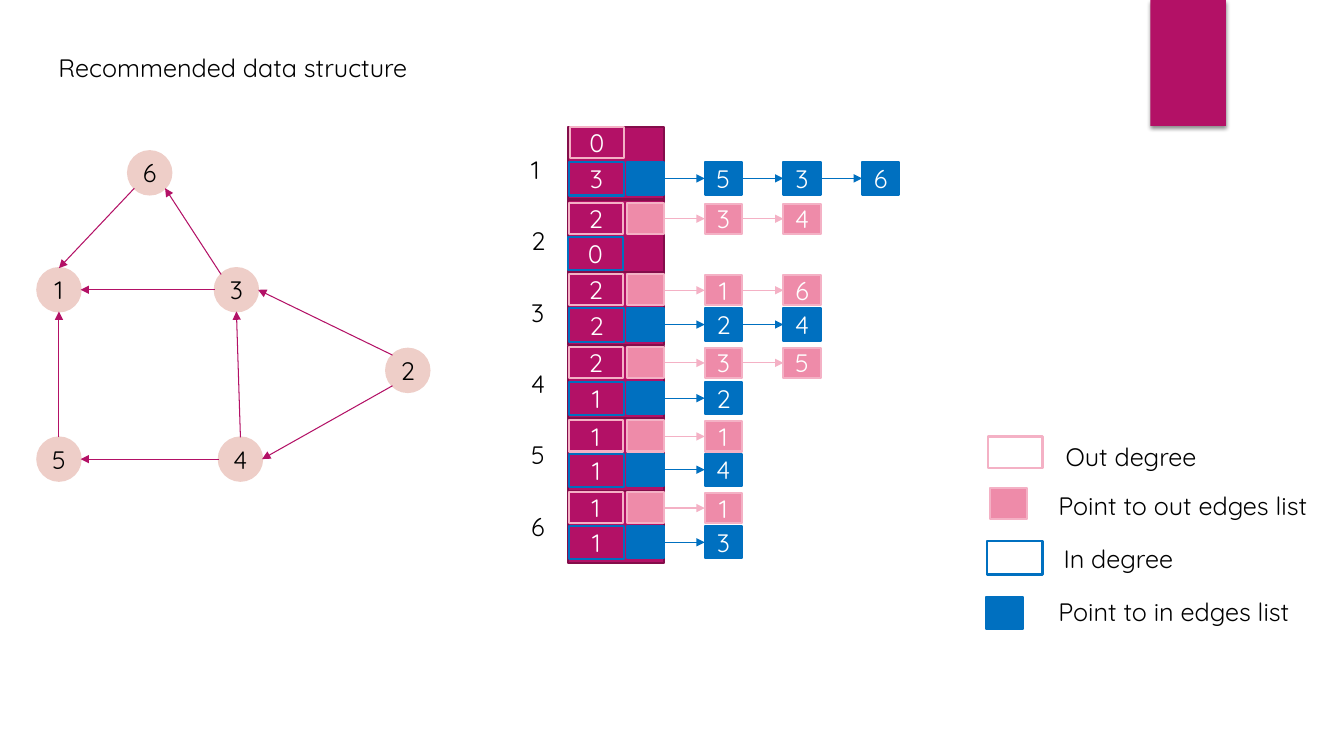
import math
import pptx
import pptx.util
import pptx.dml.color
import pptx.enum.shapes
import pptx.enum.text
import pptx.oxml
import pptx.oxml.ns
import lxml.etree

PX = 9144  # one hundredth of an inch
RECTANGLE = pptx.enum.shapes.MSO_SHAPE.RECTANGLE
OVAL = pptx.enum.shapes.MSO_SHAPE.OVAL
THEME = {
    "font": "Quicksand", "size": 18, "outline": 1.5, "arrow": 0.75,
    "magenta": "B31166", "magenta_dark": "840D4B", "node": "EECEC8",
    "out_fill": "EE8BA9", "out_line": "F4B1C5", "in": "0070C0",
    "light": "FFFFFF", "dark": "000000",
}


def add_block(kind, box, fill=None, line=None, text="", color="light"):
    """Add a filled or outlined shape with optional centred text."""
    shape = slide.shapes.add_shape(kind, *(value * PX for value in box))
    shape.shadow.inherit = False
    if fill:
        shape.fill.solid()
        shape.fill.fore_color.rgb = pptx.dml.color.RGBColor.from_string(THEME[fill])
    else:
        shape.fill.background()
    if line:
        shape.line.color.rgb = pptx.dml.color.RGBColor.from_string(THEME[line])
        shape.line.width = pptx.util.Pt(THEME["outline"])
    else:
        shape.line.fill.background()
    if text:
        frame = shape.text_frame
        frame.margin_left = frame.margin_right = frame.margin_top = frame.margin_bottom = 0
        frame.vertical_anchor = pptx.enum.text.MSO_ANCHOR.MIDDLE
        paragraph = frame.paragraphs[0]
        paragraph.alignment = pptx.enum.text.PP_ALIGN.CENTER
        run = paragraph.add_run()
        run.text = text
        run.font.name = THEME["font"]
        run.font.size = pptx.util.Pt(THEME["size"])
        run.font.color.rgb = pptx.dml.color.RGBColor.from_string(THEME[color])
    return shape


def add_arrow(start, end, color):
    """Add a thin straight arrow between two points in px."""
    arrow = slide.shapes.add_connector(
        pptx.enum.shapes.MSO_CONNECTOR.STRAIGHT,
        *(round(value * PX) for value in (*start, *end)))
    arrow.line.color.rgb = pptx.dml.color.RGBColor.from_string(THEME[color])
    arrow.line.width = pptx.util.Pt(THEME["arrow"])
    head = lxml.etree.SubElement(arrow.line._get_or_add_ln(), pptx.oxml.ns.qn("a:tailEnd"))
    head.set("type", "triangle")
    lxml.etree.SubElement(arrow._element.spPr, pptx.oxml.ns.qn("a:effectLst"))
    return arrow


presentation = pptx.Presentation()
presentation.slide_width = 1333 * PX
presentation.slide_height = 750 * PX
slide = presentation.slides.add_slide(presentation.slide_layouts[5])

# Corner tab with a soft shadow
tab = add_block(RECTANGLE, (1141, 0, 75, 125), "magenta")
effects = tab._element.spPr.find(pptx.oxml.ns.qn("a:effectLst"))
effects.append(pptx.oxml.parse_xml(
    f'<a:outerShdw {pptx.oxml.ns.nsdecls("a")} blurRad="38100" dist="25400" dir="5400000">'
    '<a:srgbClr val="000000"><a:alpha val="45000"/></a:srgbClr></a:outerShdw>'))

# Vertex column
for index in range(6):
    add_block(RECTANGLE, (563, 126 + round(72.2 * index), 96, 72), "magenta", "magenta_dark")

# Adjacency rows: direction, left and top of the degree box, degree, linked vertices
ROW_STYLE = {
    "out": {"fill": "out_fill", "line": "out_line", "width": 54, "height": 31,
            "pointer_height": 31, "link_height": 30, "drop": 1},
    "in": {"fill": "in", "line": "in", "width": 55, "height": 33,
           "pointer_height": 32, "link_height": 32, "drop": 0},
}
rows = [
    ("out", 565, 126, "0", ""), ("in", 564, 161, "3", "536"),
    ("out", 564, 201, "2", "34"), ("in", 563, 235, "0", ""),
    ("out", 564, 272, "2", "16"), ("in", 564, 306, "2", "24"),
    ("out", 564, 344, "2", "35"), ("in", 564, 379, "1", "2"),
    ("out", 564, 417, "1", "1"), ("in", 564, 450, "1", "4"),
    ("out", 564, 488, "1", "1"), ("in", 564, 522, "1", "3"),
]
for direction, left, top, degree, links in rows:
    style = ROW_STYLE[direction]
    if links:
        pointer = (622, top, 37, style["pointer_height"])
        add_block(RECTANGLE, pointer, style["fill"], style["line"])
    add_block(RECTANGLE, (left, top, style["width"], style["height"]),
              line=style["line"], text=degree)
    arrow_y = top + 16
    arrow_start = 659
    for position, vertex in enumerate(links):
        link_left = 699 + 78 * position
        add_block(RECTANGLE, (link_left, top + style["drop"], 37, style["link_height"]),
                  style["fill"], style["line"], vertex)
        add_arrow((arrow_start, arrow_y), (link_left, arrow_y), style["line"])
        arrow_start = link_left + 37

# Graph vertices
DIAMETER = 43
vertices = {"1": (37, 266), "2": (383, 346), "3": (213, 266),
            "4": (217, 434), "5": (37, 434), "6": (127, 150)}
for name, (left, top) in vertices.items():
    add_block(OVAL, (left, top, DIAMETER, DIAMETER), "node", "node", name, "dark")

# Graph edges: vertex and angle on its rim, clockwise from the right, at each end
edges = [("4", 180, "5", 0), ("4", 270, "3", 90), ("2", 135, "4", 0),
         ("3", 180, "1", 0), ("2", 225, "3", 0), ("5", 270, "1", 90),
         ("3", 225, "6", 45), ("6", 135, "1", 270)]
for source, source_angle, target, target_angle in edges:
    ends = []
    for name, angle in ((source, source_angle), (target, target_angle)):
        left, top = vertices[name]
        ends.append((left + DIAMETER / 2 * (1 + math.cos(math.radians(angle))),
                     top + DIAMETER / 2 * (1 + math.sin(math.radians(angle)))))
    add_arrow(*ends, "magenta")

# Legend swatches
add_block(RECTANGLE, (980, 433, 54, 31), line="out_line")
add_block(RECTANGLE, (982, 484, 37, 31), "out_fill", "out_line")
add_block(RECTANGLE, (979, 537, 55, 33), line="in")
add_block(RECTANGLE, (978, 592, 37, 32), "in", "in")

# Title, row numbers and legend labels
texts = [("Recommended data structure", 48, 47, 395),
         ("Out degree", 1047, 433, 164), ("Point to out edges list", 1040, 482, 280),
         ("In degree", 1045, 534, 140), ("Point to in edges list", 1040, 587, 260)]
texts += [(str(index + 1), 517, 148 + round(70.8 * index), 34) for index in range(6)]
for index, (text, left, top, width) in enumerate(texts):
    box = slide.shapes.title if index == 0 else slide.shapes.add_textbox(0, 0, 0, 0)
    box.left, box.top, box.width, box.height = (value * PX for value in (left, top, width, 40))
    frame = box.text_frame
    frame.word_wrap = False
    frame.auto_size = pptx.enum.text.MSO_AUTO_SIZE.NONE
    frame.vertical_anchor = pptx.enum.text.MSO_ANCHOR.TOP
    paragraph = frame.paragraphs[0]
    paragraph.alignment = pptx.enum.text.PP_ALIGN.LEFT
    run = paragraph.add_run()
    run.text = text
    run.font.name = THEME["font"]
    run.font.size = pptx.util.Pt(THEME["size"])
    run.font.color.rgb = pptx.dml.color.RGBColor.from_string(THEME["dark"])

presentation.save("out.pptx")
